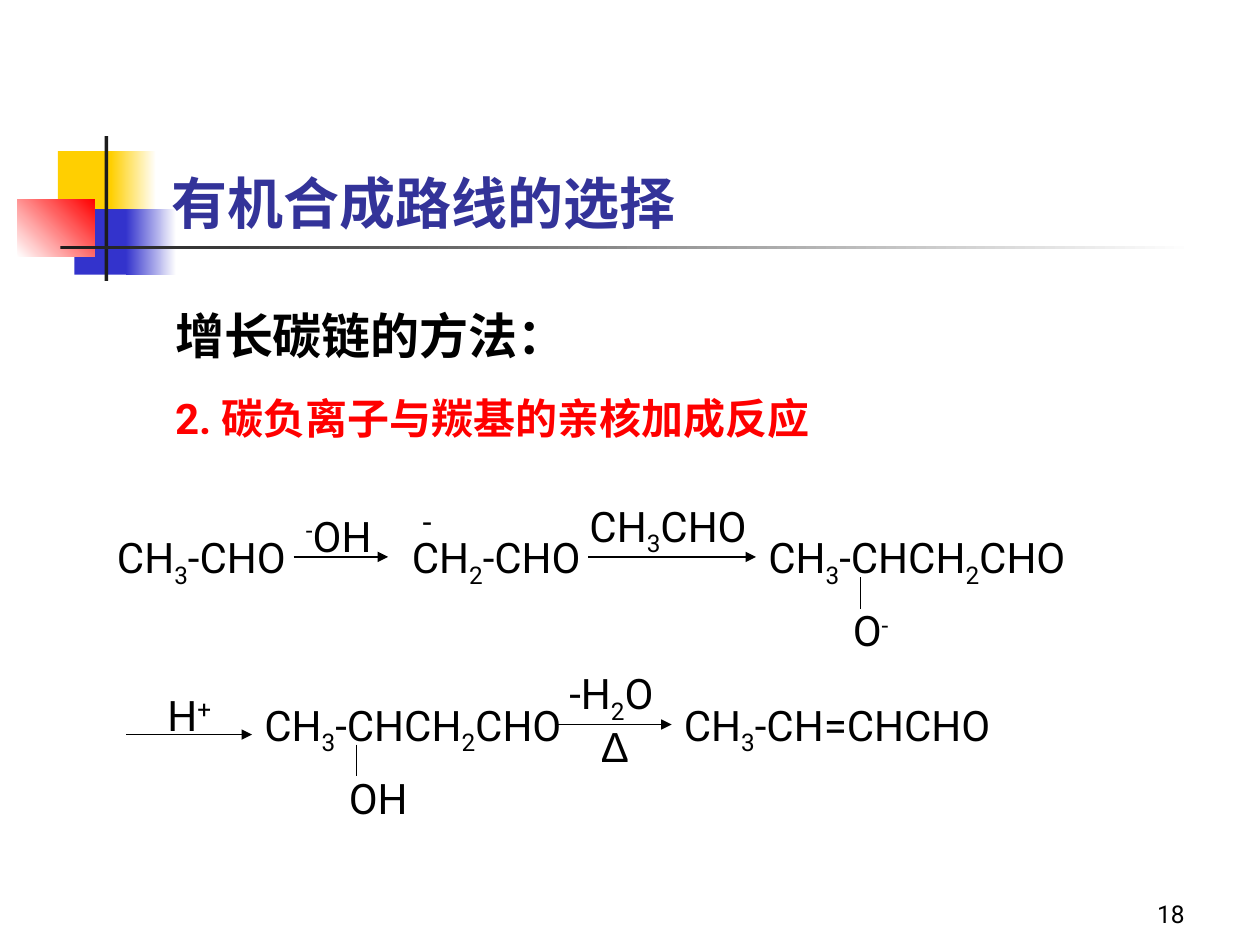
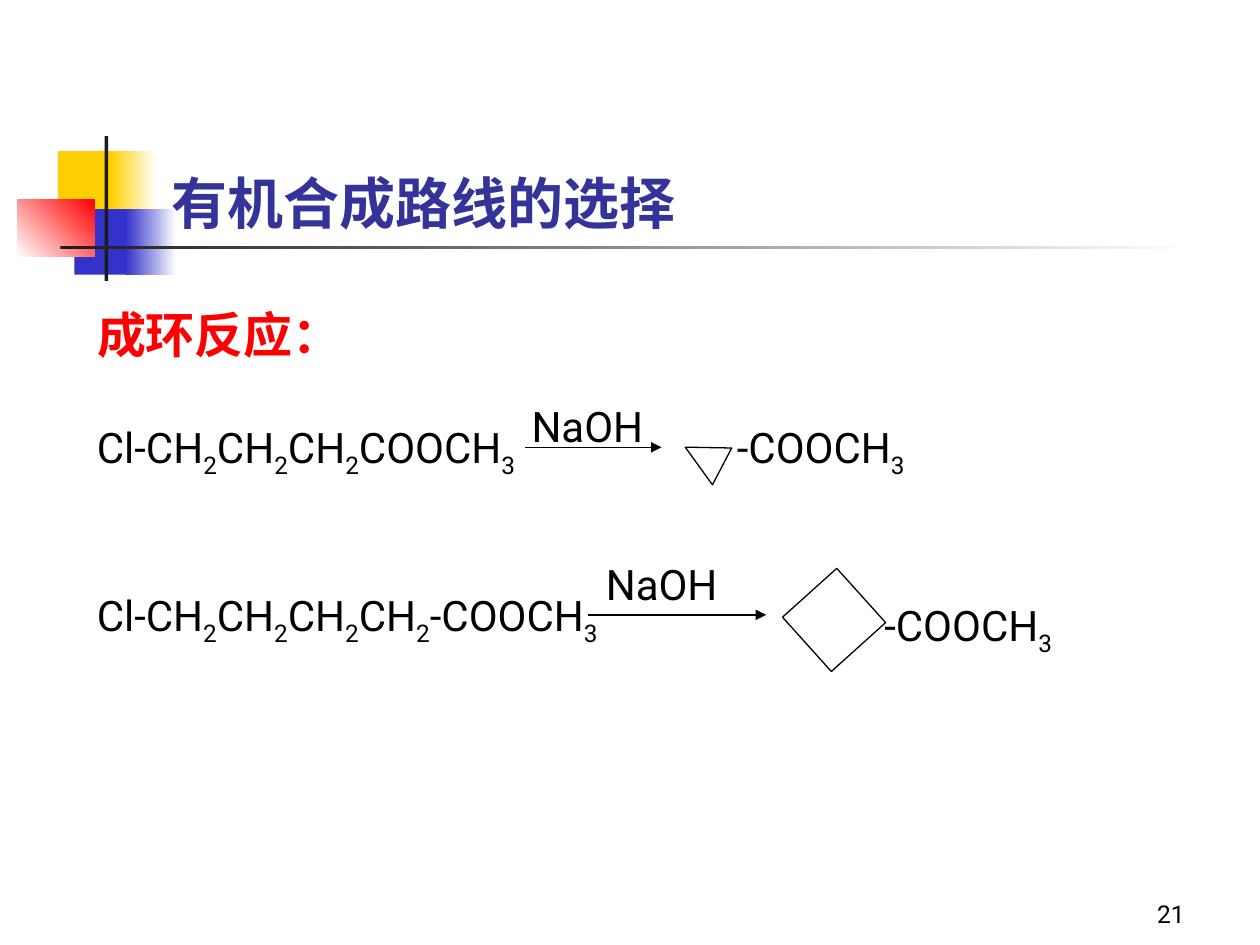
from typing import NamedTuple, Optional

from lxml import etree
from pptx import Presentation
from pptx.dml.color import RGBColor
from pptx.enum import shapes as shape_kinds, text as text_kinds
from pptx.oxml import ns
from pptx.util import Inches, Pt

YELLOW = RGBColor(0xFF, 0xCF, 0x01)
BLUE = RGBColor(0x33, 0x33, 0xCC)
RED = RGBColor(0xFF, 0x00, 0x00)
DARK = RGBColor(0x1C, 0x1C, 0x1C)
NAVY = RGBColor(0x33, 0x33, 0x99)
BLACK = RGBColor(0x00, 0x00, 0x00)
WHITE = RGBColor(0xFF, 0xFF, 0xFF)

FONT = "Roboto"
TITLE = "有机合成路线的选择"
BASELINES = {"_": "-25000", "^": "30000"}


class Block(NamedTuple):
    left: float
    top: float
    width: float
    height: float
    color: RGBColor
    fade_to: Optional[RGBColor] = None
    angle: int = 0


class Formula(NamedTuple):
    markup: str
    left: float
    top: float
    width: float
    height: float = 0.56
    size: int = 24
    font: str = FONT


class Bond(NamedTuple):
    x1: float
    y1: float
    x2: float
    y2: float
    arrow: bool = False


class Ring(NamedTuple):
    kind: shape_kinds.MSO_SHAPE
    left: float
    top: float
    side: float
    rotation: float


class Heading(NamedTuple):
    words: str
    size: int
    color: RGBColor


class Page(NamedTuple):
    number: int
    body_box: tuple
    headings: list
    formulas: list
    bonds: list
    rings: list


DECORATION = [
    Block(0.46, 1.2, 0.48, 0.52, YELLOW),
    Block(0.88, 1.2, 0.36, 0.52, YELLOW, WHITE),
    Block(0.59, 1.66, 0.46, 0.52, BLUE),
    Block(1, 1.66, 0.4, 0.52, BLUE, WHITE),
    Block(0.14, 1.58, 0.61, 0.46, WHITE, RED, 45),
    Block(0.83, 1.08, 0.03, 1.15, DARK),
    Block(0.48, 1.95, 9, 0.03, DARK, WHITE),
]


def arrow(left: float, right: float, y: float) -> Bond:
    return Bond(left, y, right, y, True)


def aldol(left: float, top: float, substituent: str) -> tuple:
    formulas = [
        Formula("CH_3-CHCH_2CHO", left, top, 2.67),
        Formula(substituent, left + 0.67, top + 0.58, 0.75, 0.5),
    ]
    return formulas, Bond(left + 0.83, top + 0.41, left + 0.83, top + 0.66)


ALKOXIDE, ALKOXIDE_BOND = aldol(6, 4.17, "O^-")
ALCOHOL, ALCOHOL_BOND = aldol(2, 5.5, "OH")

PAGES = [
    Page(
        18,
        (1.29, 2.21, 8.5, 1.38),
        [Heading("增长碳链的方法：", 28, BLACK),
         Heading("2. 碳负离子与羰基的亲核加成反应", 24, RED)],
        [
            Formula("CH_3-CHO", 0.83, 4.17, 1.58),
            Formula("^-OH", 2.33, 4, 0.83, 0.5),
            Formula("CH_2-CHO", 3.17, 4.17, 1.92),
            Formula("-", 3.25, 3.93, 0.33, 0.4, 18, "Arial"),
            Formula("CH_3CHO", 4.58, 3.92, 1.75),
            *ALKOXIDE,
            Formula("H^+", 1.23, 5.42, 0.77, 0.5),
            *ALCOHOL,
            Formula("-H_2O", 4.42, 5.25, 1.08),
            Formula("Δ", 4.67, 5.67, 0.5, 0.5, font="Arial"),
            Formula("CH_3-CH=CHCHO", 5.33, 5.5, 2.67),
        ],
        [arrow(2.33, 3.08, 4.42), arrow(4.67, 6, 4.42), ALKOXIDE_BOND,
         arrow(1, 2, 5.83), ALCOHOL_BOND, arrow(4.42, 5.33, 5.75)],
        [],
    ),
    Page(
        21,
        (0.67, 2.2, 2.16, 0.8),
        [Heading("成环反应：", 28, RED)],
        [
            Formula("Cl-CH_2CH_2CH_2COOCH_3", 0.67, 3.3, 3.75),
            Formula("NaOH", 4.12, 3.13, 1.15, 0.5),
            Formula("-COOCH_3", 5.75, 3.3, 1.75),
            Formula("Cl-CH_2CH_2CH_2CH_2-COOCH_3", 0.67, 4.63, 4.5),
            Formula("NaOH", 4.71, 4.38, 1.15, 0.5),
            Formula("-COOCH_3", 6.92, 4.71, 1.75),
        ],
        [arrow(4.17, 5.25, 3.55), arrow(4.67, 6.08, 4.88)],
        [Ring(shape_kinds.MSO_SHAPE.ISOSCELES_TRIANGLE, 5.42, 3.46, 0.33, 297.6),
         Ring(shape_kinds.MSO_SHAPE.RECTANGLE, 6.33, 4.63, 0.58, 48)],
    ),
]


def inches(*lengths: float) -> list:
    return [Inches(length) for length in lengths]


def set_font(paragraph, size: int, color: RGBColor, name: str = FONT, bold: bool = False) -> None:
    paragraph.font.size = Pt(size)
    paragraph.font.name = name
    paragraph.font.bold = bold
    paragraph.font.color.rgb = color


def decorate_layout(layout, slide) -> None:
    for position, block in enumerate(DECORATION):
        shape = slide.shapes.add_shape(
            shape_kinds.MSO_SHAPE.RECTANGLE,
            *inches(block.left, block.top, block.width, block.height))
        shape.shadow.inherit = False
        shape.line.fill.background()
        if block.fade_to is None:
            shape.fill.solid()
            shape.fill.fore_color.rgb = block.color
        else:
            shape.fill.gradient()
            shape.fill.gradient_angle = block.angle
            for stop, color in zip(shape.fill.gradient_stops, (block.color, block.fade_to)):
                stop.color.rgb = color
        shape.element.nvSpPr.cNvPr.id = 100 + position
        layout.shapes.element.insert(2 + position, shape.element)


def place(placeholder, box: tuple) -> None:
    placeholder.left, placeholder.top, placeholder.width, placeholder.height = inches(*box)
    placeholder.text_frame.auto_size = text_kinds.MSO_AUTO_SIZE.NONE


def fill_title(title) -> None:
    place(title, (1.26, 0.67, 8.52, 1.25))
    title.text_frame.text = TITLE
    title.text_frame.vertical_anchor = text_kinds.MSO_ANCHOR.BOTTOM
    paragraph = title.text_frame.paragraphs[0]
    paragraph.alignment = text_kinds.PP_ALIGN.LEFT
    set_font(paragraph, 32, NAVY, bold=True)


def fill_body(body, page: Page) -> None:
    place(body, page.body_box)
    frame = body.text_frame
    frame.text = "\n".join(heading.words for heading in page.headings)
    for position, (paragraph, heading) in enumerate(zip(frame.paragraphs, page.headings)):
        paragraph.line_spacing = 1.35
        paragraph.space_before = Pt(6 if position else 0)
        properties = paragraph._p.get_or_add_pPr()
        properties.set("marL", str(Inches(0.38)))
        properties.set("indent", str(Inches(-0.38)))
        etree.SubElement(properties, ns.qn("a:buNone"))
        set_font(paragraph, heading.size, heading.color, bold=True)


def add_text_box(slide, left: float, top: float, width: float, height: float):
    frame = slide.shapes.add_textbox(*inches(left, top, width, height)).text_frame
    frame.word_wrap = True
    return frame


def split_markup(markup: str) -> list:
    pieces = [["", ""]]
    characters = iter(markup)
    for character in characters:
        if character in BASELINES:
            pieces += [[next(characters), BASELINES[character]], ["", ""]]
        else:
            pieces[-1][0] += character
    return [piece for piece in pieces if piece[0]]


def draw_formula(slide, formula: Formula) -> None:
    frame = add_text_box(slide, formula.left, formula.top, formula.width, formula.height)
    paragraph = frame.paragraphs[0]
    set_font(paragraph, formula.size, BLACK, formula.font)
    for words, baseline in split_markup(formula.markup):
        run = paragraph.add_run()
        run.text = words
        if baseline:
            run._r.get_or_add_rPr().set("baseline", baseline)


def draw_bond(slide, bond: Bond) -> None:
    connector = slide.shapes.add_connector(
        shape_kinds.MSO_CONNECTOR.STRAIGHT, *inches(bond.x1, bond.y1, bond.x2, bond.y2))
    connector.line.color.rgb = BLACK
    connector.line.width = Pt(0.75)
    if bond.arrow:
        etree.SubElement(connector.line._get_or_add_ln(), ns.qn("a:tailEnd"), type="triangle")
    etree.SubElement(connector.element.spPr, ns.qn("a:effectLst"))


def draw_ring(slide, ring: Ring) -> None:
    shape = slide.shapes.add_shape(ring.kind, *inches(ring.left, ring.top, ring.side, ring.side))
    shape.rotation = ring.rotation
    shape.shadow.inherit = False
    shape.fill.background()
    shape.line.color.rgb = BLACK
    shape.line.width = Pt(0.75)


def draw_number(slide, number: int) -> None:
    frame = add_text_box(slide, 7.42, 6.92, 2.08, 0.5)
    frame.vertical_anchor = text_kinds.MSO_ANCHOR.BOTTOM
    frame.text = str(number)
    frame.paragraphs[0].alignment = text_kinds.PP_ALIGN.RIGHT
    set_font(frame.paragraphs[0], 14, BLACK)


def draw_page(slide, page: Page) -> None:
    fill_title(slide.shapes.title)
    fill_body(slide.placeholders[1], page)
    for formula in page.formulas:
        draw_formula(slide, formula)
    for bond in page.bonds:
        draw_bond(slide, bond)
    for ring in page.rings:
        draw_ring(slide, ring)
    draw_number(slide, page.number)


def main() -> None:
    presentation = Presentation()
    presentation.slide_width = Inches(10)
    presentation.slide_height = Inches(7.5)
    layout = presentation.slide_layouts[1]
    slides = [presentation.slides.add_slide(layout) for _ in PAGES]
    decorate_layout(layout, slides[0])
    for slide, page in zip(slides, PAGES):
        draw_page(slide, page)
    presentation.save("out.pptx")


if __name__ == "__main__":
    main()
